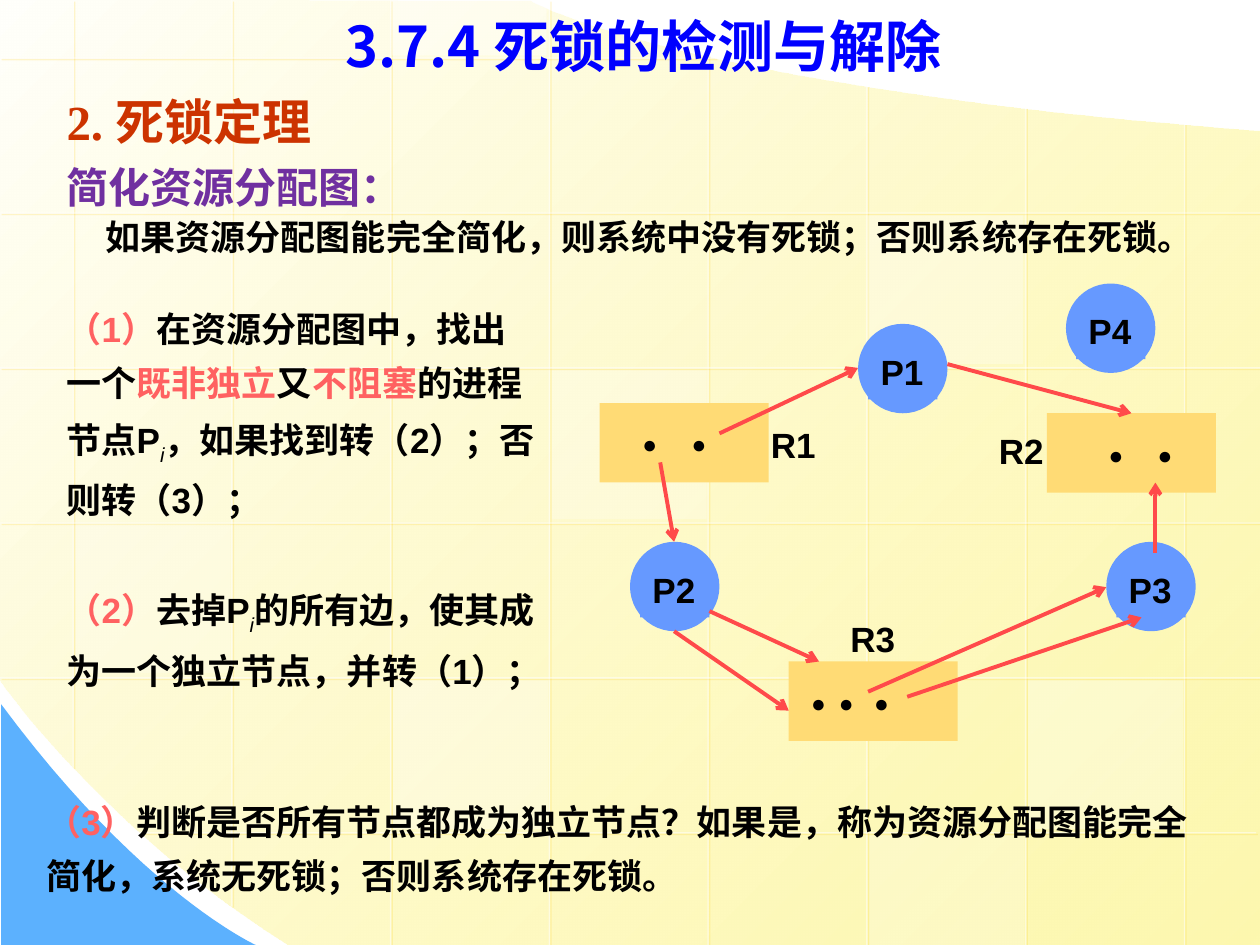
"""Build the slide on deadlock detection with its resource allocation graph."""
from typing import NamedTuple

from lxml.etree import SubElement
from pptx import Presentation
from pptx.dml.color import RGBColor
from pptx.enum.shapes import MSO_CONNECTOR, MSO_SHAPE
from pptx.enum.text import MSO_ANCHOR
from pptx.oxml.ns import qn
from pptx.util import Inches, Pt

COLORS = {
    "pale": "FFFFFB", "yellow": "FDF58D", "sky": "5CB1FE", "white": "FFFFFF",
    "gold": "FFCC00", "title": "0000FF", "heading": "CC3300", "purple": "7030A0",
    "black": "000000", "accent": "FF6161", "process": "6699FF",
    "resource": "FFDB75", "edge": "FF4A4A",
}


class Run(NamedTuple):
    text: str
    color: str = "black"
    subscript: bool = False


class Process(NamedTuple):
    name: str
    left: float
    top: float


class Resource(NamedTuple):
    name: str
    left: float
    top: float
    dots_left: float
    dot_tabs: tuple
    name_left: float
    name_top: float


class Edge(NamedTuple):
    x1: float
    y1: float
    x2: float
    y2: float


class Step(NamedTuple):
    left: float
    top: float
    width: float
    height: float
    runs: list


PANELS = [
    (4.38, 2.94, 1.18, 25), (8.16, 5.4, 1.18, 30), (0.6, 4.16, 1.18, 20),
    (6.9, 6.63, 0.87, 20), (3.11, 0, 0.44, 40), (3.12, 5.4, 1.18, 30),
    (6.89, 1.71, 1.18, 30),
]
COLUMN_SPANS = [(0, 6.09), (0, 7.19), (0, 7.5), (0, 7.52), (0.43, 7.52),
                (0.68, 7.52), (0.85, 7.52), (0.98, 7.52)]
ROW_SPANS = [(5.68, 0)] + [(10.01, 0)] * 4 + [(9.97, 1.11)]

STEPS = [
    Step(0.43, 2.29, 3.94, 1.85, [
        Run("（1）", "accent"), Run("在资源分配图中，找出一个"),
        Run("既非独立", "accent"), Run("又"), Run("不阻塞", "accent"),
        Run("的进程节点P"), Run("i", subscript=True),
        Run("，如果找到转（2）；否则转（3）；")]),
    Step(0.43, 4.51, 3.94, 0.98, [
        Run("（2）", "accent"), Run("去掉P"), Run("i", subscript=True),
        Run("的所有边，使其成为一个独立节点，并转（1）；")]),
    Step(0.27, 6.2, 9.37, 0.98, [
        Run("（3）", "accent"),
        Run("判断是否所有节点都成为独立节点？如果是，称为资源分配图能完全简化，"
            "系统无死锁；否则系统存在死锁。")]),
]
PROCESSES = [Process("P1", 6.81, 2.57), Process("P2", 5, 4.3),
             Process("P3", 8.78, 4.3), Process("P4", 8.46, 2.25)]
RESOURCES = [
    Resource("R1", 4.76, 3.2, 5, (0.39,), 6.02, 3.31),
    Resource("R2", 8.31, 3.28, 8.7, (0.39,), 7.83, 3.36),
    Resource("R3", 6.26, 5.25, 6.34, (0.22, 0.5), 6.65, 4.85),
]
EDGES = [
    Edge(5.71, 3.44, 6.81, 2.92), Edge(5.24, 3.67, 5.35, 4.3),
    Edge(5.63, 4.85, 6.5, 5.25), Edge(5.35, 5.01, 6.26, 5.64),
    Edge(7.2, 5.53, 9.06, 4.9), Edge(6.89, 5.49, 8.78, 4.66),
    Edge(9.17, 4.39, 9.17, 3.83), Edge(7.52, 2.89, 8.98, 3.28),
]


def rgb(name: str) -> RGBColor:
    """Return the named colour."""
    return RGBColor.from_string(COLORS[name])


def set_alpha(color_element, percent: int) -> None:
    """Give a colour element an opacity."""
    SubElement(color_element, qn("a:alpha"), val=str(percent * 1000))


def add_block(slide, preset, left: float, top: float, width: float, height: float,
              color: str, opacity: int = 100):
    """Add a flat preset shape without an outline."""
    block = slide.shapes.add_shape(preset, Inches(left), Inches(top),
                                   Inches(width), Inches(height))
    block.shadow.inherit = False
    block.line.fill.background()
    block.fill.solid()
    block.fill.fore_color.rgb = rgb(color)
    if opacity < 100:
        set_alpha(block.element.xpath("./p:spPr//a:srgbClr")[0], opacity)
    return block


def add_text(slide, paragraphs: list, left: float, top: float, width: float,
             height: float, *, sizes: tuple = (20,), font: str = "Arial",
             line_spacing: float = 1.0, indent: float = 0, tabs: tuple = (),
             wrap: bool = True, fill: str = "", anchor=MSO_ANCHOR.TOP) -> None:
    """Add a text box of paragraphs; the indent applies after the first one."""
    box = slide.shapes.add_textbox(Inches(left), Inches(top), Inches(width), Inches(height))
    if fill:
        box.fill.solid()
        box.fill.fore_color.rgb = rgb(fill)
    frame = box.text_frame
    frame.word_wrap = wrap
    frame.vertical_anchor = anchor
    for index, (runs, size) in enumerate(zip(paragraphs, sizes)):
        paragraph = frame.add_paragraph() if index else frame.paragraphs[0]
        paragraph.line_spacing = line_spacing
        properties = paragraph._p.get_or_add_pPr()
        if index:
            paragraph.space_before = Pt(size / 10)
            properties.set("indent", str(Inches(indent)))
        if tabs:
            tab_list = SubElement(properties, qn("a:tabLst"))
            for stop in tabs:
                SubElement(tab_list, qn("a:tab"), pos=str(Inches(stop)), algn="l")
        for part in runs:
            run = paragraph.add_run()
            run.text = part.text
            run.font.size = Pt(size)
            run.font.name = font
            run.font.bold = not part.subscript
            run.font.italic = part.subscript
            run.font.color.rgb = rgb(part.color)
            run_properties = run._r.get_or_add_rPr()
            SubElement(run_properties, qn("a:ea"), typeface="Noto Sans CJK SC")
            if part.subscript:
                run_properties.set("baseline", "-25000")


def add_line(slide, edge: Edge, color: str, weight: float):
    """Add a straight connector and return it with its empty effect list."""
    line = slide.shapes.add_connector(MSO_CONNECTOR.STRAIGHT, *map(Inches, edge))
    line.line.color.rgb = rgb(color)
    line.line.width = Pt(weight)
    effects = SubElement(line.element.spPr, qn("a:effectLst"))
    return line, effects


def add_grid_line(slide, edge: Edge) -> None:
    """Add a translucent white line with a golden shadow."""
    line, effects = add_line(slide, edge, "white", 0.75)
    set_alpha(line.element.xpath("./p:spPr/a:ln//a:srgbClr")[0], 50)
    shadow = SubElement(effects, qn("a:outerShdw"), blurRad="0",
                        dist=str(Pt(1.4)), dir="2700000")
    set_alpha(SubElement(shadow, qn("a:srgbClr"), val=COLORS["gold"]), 34)


def add_arrow(slide, edge: Edge) -> None:
    """Add an edge of the allocation graph."""
    line, _ = add_line(slide, edge, "edge", 2.25)
    SubElement(line.line._get_or_add_ln(), qn("a:tailEnd"), type="arrow")


def curve(*controls: tuple, steps: int = 24) -> list:
    """Return points along a cubic Bezier curve."""
    weights = [((1 - t) ** 3, 3 * t * (1 - t) ** 2, 3 * t * t * (1 - t), t ** 3)
               for t in (step / steps for step in range(steps + 1))]
    return [tuple(sum(w * c[axis] for w, c in zip(row, controls)) for axis in (0, 1))
            for row in weights]


def add_outline(slide, points: list):
    """Add a closed freeform without an outline."""
    start, *rest = [(Inches(x), Inches(y)) for x, y in points]
    builder = slide.shapes.build_freeform(*start)
    builder.add_line_segments(rest)
    outline = builder.convert_to_shape()
    outline.shadow.inherit = False
    outline.line.fill.background()
    return outline


def add_background(slide) -> None:
    """Draw the curved sheet, the corner, the grid and its panels."""
    sheet = add_outline(slide, [
        (10, 1.04), (10, 7.5),
        *curve((2.3, 7.5), (0.86, 6.61), (-0.01, 5.39), (0, 5.39)), (-0.01, -0.01),
        *curve((4.21, 0.01), (4.21, 0.01), (5.37, 0.69), (10, 1.04))])
    sheet.fill.gradient()
    sheet.fill.gradient_angle = 315
    for stop, color in zip(sheet.fill.gradient_stops, ("pale", "yellow")):
        stop.color.rgb = rgb(color)
    set_alpha(sheet.element.xpath("./p:spPr/a:gradFill//a:srgbClr")[1], 70)
    corner = add_outline(slide, [
        (0.01, 5.59), (0.01, 7.5),
        *curve((2.03, 7.5), (2.03, 7.5), (1.12, 7.09), (0.01, 5.59))])
    corner.fill.solid()
    corner.fill.fore_color.rgb = rgb("sky")
    for column, (top, bottom) in enumerate(COLUMN_SPANS):
        x = 0.58 + 1.26 * column
        add_grid_line(slide, Edge(x, top, x, bottom))
    for row, (right, left) in enumerate(ROW_SPANS):
        y = 0.46 + 1.23 * row
        add_grid_line(slide, Edge(right, y, left, y))
    for left, top, height, opacity in PANELS:
        add_block(slide, MSO_SHAPE.RECTANGLE, left, top, 1.23, height, "white", opacity)


def add_process(slide, process: Process) -> None:
    """Draw a process node."""
    add_block(slide, MSO_SHAPE.OVAL, process.left, process.top, 0.71, 0.71, "process")
    add_text(slide, [[Run(process.name)]], process.left + 0.08, process.top + 0.16,
             0.55, 0.44, wrap=False, fill="process")


def add_resource(slide, resource: Resource) -> None:
    """Draw a resource node with a dot for each unit."""
    add_block(slide, MSO_SHAPE.RECTANGLE, resource.left, resource.top, 1.34, 0.63, "resource")
    dots = "\t".join("●" * (len(resource.dot_tabs) + 1))
    add_text(slide, [[Run(dots)]], resource.dots_left, resource.top + 0.16, 1.1, 0.34,
             sizes=(14,), tabs=resource.dot_tabs)
    add_text(slide, [[Run(resource.name)]], resource.name_left, resource.name_top, 0.63, 0.44)


def main() -> None:
    """Build and save the slide."""
    deck = Presentation()
    deck.slide_width, deck.slide_height = Inches(10), Inches(7.5)
    slide = deck.slides.add_slide(deck.slide_layouts[6])
    add_background(slide)
    add_text(slide, [[Run("简化资源分配图：", "purple")],
                     [Run("如果资源分配图能完全简化，则系统中没有死锁；否则系统存在死锁。")]],
             0.43, 1.23, 9.29, 0.95, sizes=(24, 20), indent=0.31)
    add_text(slide, [[Run("2. 死锁定理", "heading")]], 0.43, 0.68, 2.44, 0.57,
             sizes=(28,), font="Times New Roman")
    for step in STEPS:
        add_text(slide, [step.runs], *step[:4], line_spacing=1.3)
    add_text(slide, [[Run("3.7.4 死锁的检测与解除", "title")]], 2.64, 0, 5.51, 0.71,
             sizes=(32,), font="Noto Sans CJK SC", anchor=MSO_ANCHOR.MIDDLE)
    for process in PROCESSES:
        add_process(slide, process)
    for resource in RESOURCES:
        add_resource(slide, resource)
    for edge in EDGES:
        add_arrow(slide, edge)
    deck.save("out.pptx")


if __name__ == "__main__":
    main()
